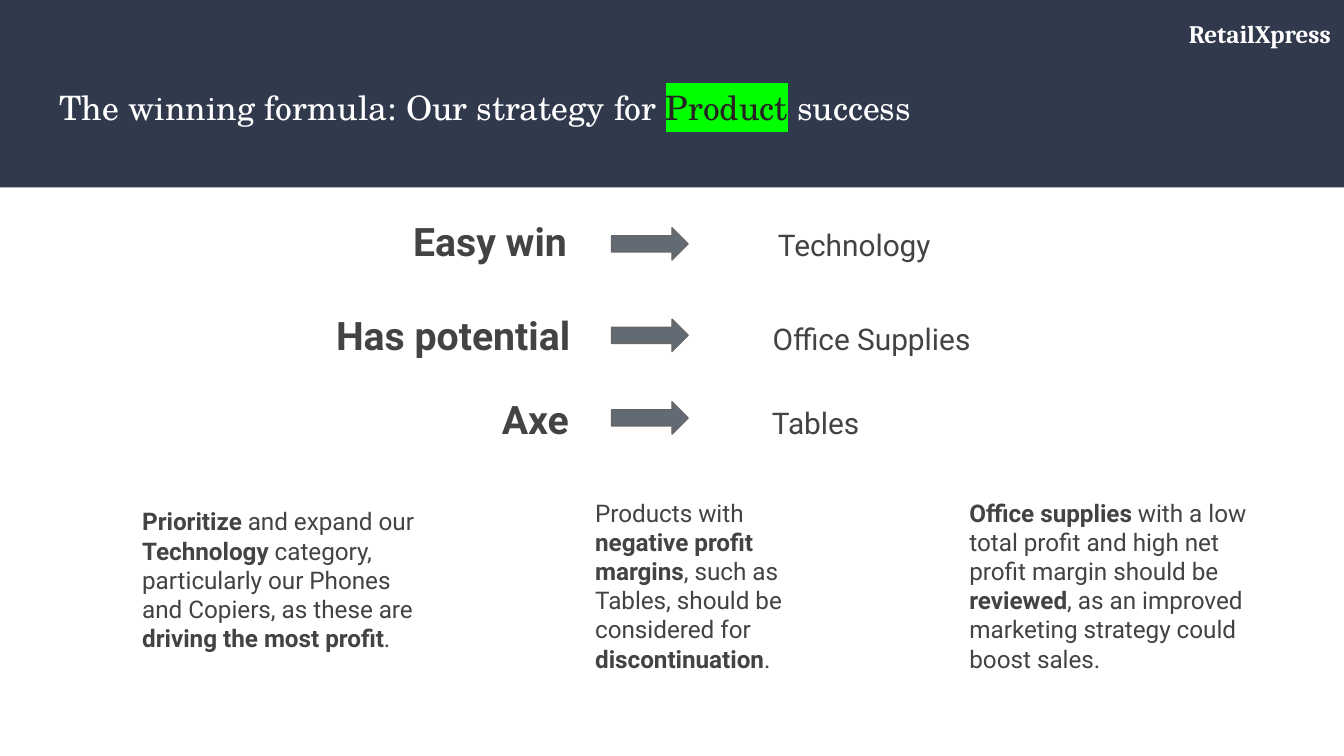
from dataclasses import dataclass

from lxml import etree
from pptx import Presentation
from pptx.dml.color import RGBColor
from pptx.enum.shapes import MSO_SHAPE
from pptx.enum.text import MSO_ANCHOR, PP_ALIGN
from pptx.oxml.ns import qn
from pptx.util import Emu, Pt

RECTANGLE = MSO_SHAPE.RECTANGLE
RIGHT_ARROW = MSO_SHAPE.RIGHT_ARROW
TOP = MSO_ANCHOR.TOP
LEFT = PP_ALIGN.LEFT
RIGHT = PP_ALIGN.RIGHT

EMU_PER_PX = 4572
SLIDE_WIDTH, SLIDE_HEIGHT = 2000, 1125
INSET = 20


@dataclass(frozen=True)
class Theme:
    band: str = "31394D"
    on_band: str = "FFFFFF"
    marked: str = "252423"
    marker: str = "00FF00"
    body: str = "434343"
    arrow: str = "626B73"
    arrow_edge: str = "666666"
    title_font: str = "TeX Gyre Schola"
    company_font: str = "Cambria"
    body_font: str = "Roboto"
    title_size: float = 18
    company_size: float = 13.5
    label_size: float = 21
    category_size: float = 16
    advice_size: float = 13


THEME = Theme()


@dataclass(frozen=True)
class Box:
    left: int
    top: int
    width: int
    height: int


@dataclass(frozen=True)
class Span:
    text: str
    size: float = THEME.advice_size
    font: str = THEME.body_font
    color: str = THEME.body
    bold: bool = False
    highlight: str = ""


@dataclass(frozen=True)
class Verdict:
    label: str
    category: str
    label_end: int
    category_start: int
    arrow_top: int
    space_before: float


@dataclass(frozen=True)
class Advice:
    box: Box
    spans: tuple[Span, ...]


def px(length: int) -> Emu:
    return Emu(length * EMU_PER_PX)


def place(box: Box) -> tuple[Emu, ...]:
    return px(box.left), px(box.top), px(box.width), px(box.height)


def strong(text: str) -> Span:
    return Span(text, bold=True)


def heading(text: str, color: str = THEME.on_band, highlight: str = "") -> Span:
    return Span(text, THEME.title_size, THEME.title_font, color, highlight=highlight)


def add_block(slide, kind, box: Box, fill: str, edge: str = "") -> None:
    block = slide.shapes.add_shape(kind, *place(box))
    block.shadow.inherit = False
    block.fill.solid()
    block.fill.fore_color.rgb = RGBColor.from_string(fill)
    if edge:
        block.line.color.rgb = RGBColor.from_string(edge)
        block.line.width = Pt(0.75)
    else:
        block.line.fill.background()


def add_frame(slide, box: Box):
    frame = slide.shapes.add_textbox(*place(box)).text_frame
    settings = {"word_wrap": True, "vertical_anchor": TOP}
    settings |= {f"margin_{side}": px(INSET) for side in ("left", "top", "right", "bottom")}
    for name, value in settings.items():
        setattr(frame, name, value)
    return frame


def write(paragraph, spans: tuple[Span, ...], **layout) -> None:
    for name, value in layout.items():
        setattr(paragraph, name, value)
    for span in spans:
        run = paragraph.add_run()
        run.text = span.text
        run.font.color.rgb = RGBColor.from_string(span.color)
        for name, value in {"size": Pt(span.size), "name": span.font, "bold": span.bold}.items():
            setattr(run.font, name, value)
        if span.highlight:
            highlight = etree.Element(qn("a:highlight"))
            etree.SubElement(highlight, qn("a:srgbClr"), val=span.highlight)
            run._r.rPr.find(qn("a:solidFill")).addnext(highlight)


def add_tabs(paragraph, verdict: Verdict) -> None:
    tabs = etree.SubElement(paragraph._p.get_or_add_pPr(), qn("a:tabLst"))
    for position, side in ((verdict.label_end, "r"), (verdict.category_start, "l")):
        etree.SubElement(tabs, qn("a:tab"), pos=str(px(position)), algn=side)


def add_verdicts(slide, box: Box, verdicts: tuple[Verdict, ...]) -> None:
    frame = add_frame(slide, box)
    for index, verdict in enumerate(verdicts):
        paragraph = frame.add_paragraph() if index else frame.paragraphs[0]
        add_tabs(paragraph, verdict)
        spans = (
            Span(f"\t{verdict.label}", THEME.label_size, bold=True),
            Span(f"\t{verdict.category}", THEME.category_size),
        )
        write(paragraph, spans, alignment=LEFT, space_before=Pt(verdict.space_before))


TITLE = (
    heading("The winning formula: Our strategy for "),
    heading("Product", THEME.marked, THEME.marker),
    heading(" success"),
)
COMPANY = (Span("RetailXpress", THEME.company_size, THEME.company_font, THEME.on_band, True),)
VERDICTS = (
    Verdict("Easy win", "Technology", 716, 1030, 339, 0),
    Verdict("Has potential", "Office Supplies", 721, 1022, 475, 25),
    Verdict("Axe", "Tables", 719, 1021, 598, 19.5),
)
ADVICE = (
    Advice(Box(192, 734, 474, 260), (
        strong("Prioritize "), Span("and expand our "), strong("Technology "),
        Span("category, particularly our Phones and Copiers, as these are "),
        strong("driving the most profit"), Span("."),
    )),
    Advice(Box(1423, 721, 460, 304), (
        strong("Office supplies"),
        Span(" with a low total profit and high net profit margin should be "),
        strong("reviewed"), Span(", as an improved marketing strategy could boost sales."),
    )),
    Advice(Box(866, 721, 362, 304), (
        Span("Products with "), strong("negative profit margins"),
        Span(", such as Tables, should be considered for "),
        strong("discontinuation"), Span("."),
    )),
)


def main() -> None:
    deck = Presentation()
    deck.slide_width, deck.slide_height = px(SLIDE_WIDTH), px(SLIDE_HEIGHT)
    slide = deck.slides.add_slide(deck.slide_layouts[6])
    add_block(slide, RECTANGLE, Box(0, 0, SLIDE_WIDTH, 279), THEME.band)
    add_verdicts(slide, Box(108, 304, 1796, 378), VERDICTS)
    write(add_frame(slide, Box(69, 110, 1864, 136)).paragraphs[0], TITLE, alignment=LEFT)
    write(add_frame(slide, Box(1704, 0, 296, 112)).paragraphs[0], COMPANY,
          alignment=RIGHT, line_spacing=1.15)
    for advice in ADVICE:
        write(add_frame(slide, advice.box).paragraphs[0], advice.spans, alignment=LEFT)
    for verdict in VERDICTS:
        add_block(slide, RIGHT_ARROW, Box(910, verdict.arrow_top, 114, 48),
                  THEME.arrow, THEME.arrow_edge)
    deck.save("out.pptx")


if __name__ == "__main__":
    main()
